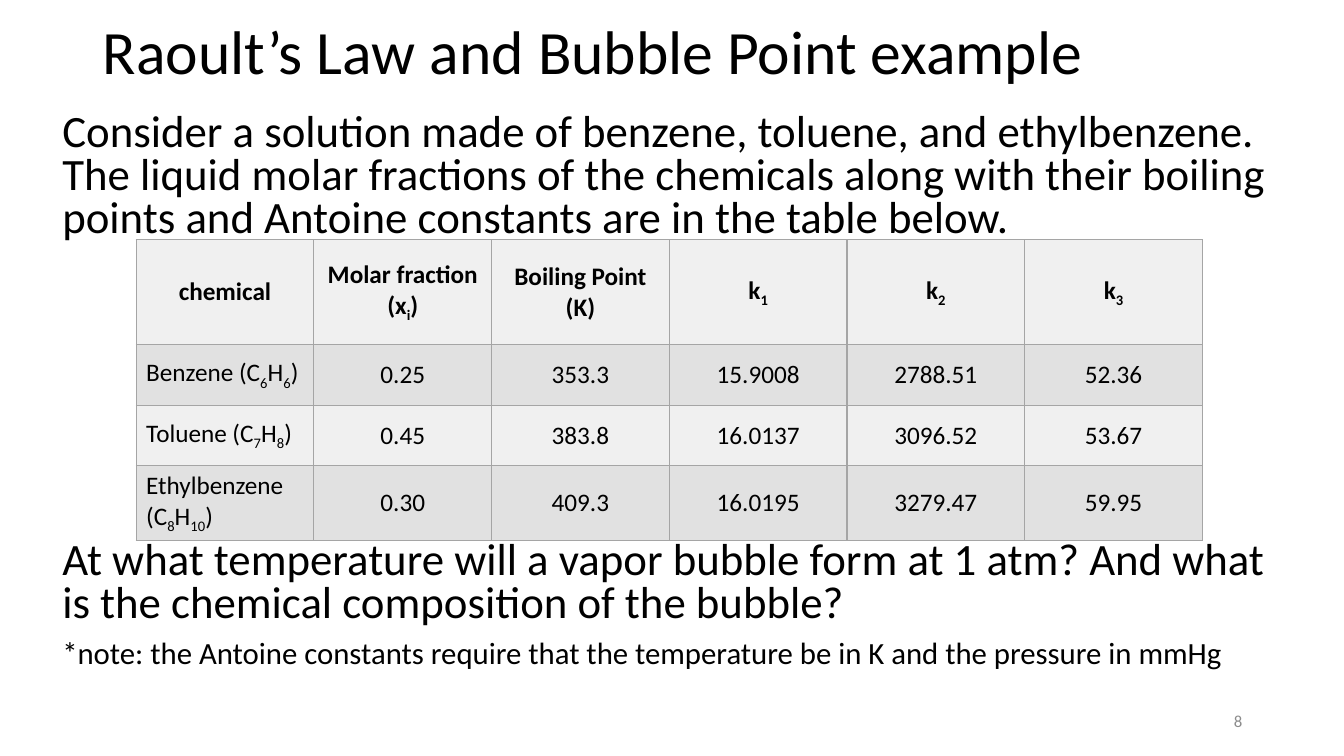
import pptx
import pptx.util
import pptx.oxml
import pptx.dml.color
import pptx.enum.text
import lxml.etree

Pt = pptx.util.Pt
RGB = pptx.dml.color.RGBColor
ALIGN = pptx.enum.text.PP_ALIGN
ANCHOR = pptx.enum.text.MSO_ANCHOR

WIDE = pptx.util.Inches(13.33)
HIGH = pptx.util.Inches(7.5)
FONT = "Calibri"
BLACK = RGB(0, 0, 0)
GREY = RGB(0x8C, 0x8C, 0x8C)
LIGHT = RGB(0xF0, 0xF0, 0xF0)
DARK = RGB(0xE1, 0xE1, 0xE1)
EDGE = RGB(0xA5, 0xA5, 0xA5)

# Shares of the slide: left, top, width, height
TITLE = (0.069, 0.0027, 0.8627, 0.14)
INTRO = (0.039, 0.1427, 0.9182, 0.175)
TASK = (0.039, 0.7093, 0.9182, 0.24)
NUMBER = (0.7067, 0.9267, 0.225, 0.0533)
GRID = (0.1013, 0.3173, 0.7935, 0.392)
HEAD = 0.1387
ROW = 0.08

# Every second piece between underscores is a subscript
ROWS = [
    ("chemical", "Molar fraction (x_i_)", "Boiling Point (K)", "k_1", "k_2", "k_3"),
    ("Benzene (C_6_H_6_)", "0.25", "353.3", "15.9008", "2788.51", "52.36"),
    ("Toluene (C_7_H_8_)", "0.45", "383.8", "16.0137", "3096.52", "53.67"),
    ("Ethylbenzene (C_8_H_10_)", "0.30", "409.3", "16.0195", "3279.47", "59.95"),
]


def place(area):
    left, top, width, height = area
    return (round(left * WIDE), round(top * HIGH),
            round(width * WIDE), round(height * HIGH))


def apply(item, form):
    for name, value in form.items():
        setattr(item, name, value)


def write(para, text, size, color=BLACK, bold=False, **form):
    apply(para, form)
    for i, piece in enumerate(text.split("_")):
        if not piece:
            continue
        run = para.add_run()
        run.text = piece
        apply(run.font, {"name": FONT, "size": Pt(size), "bold": bold})
        run.font.color.rgb = color
        if i % 2:
            run.font._element.set("baseline", "-25000")


def add_text(slide, area, lines, anchor=ANCHOR.TOP, **form):
    frame = slide.shapes.add_textbox(*place(area)).text_frame
    apply(frame, {"word_wrap": True, "vertical_anchor": anchor})
    for i, (text, size) in enumerate(lines):
        para = frame.add_paragraph() if i else frame.paragraphs[0]
        write(para, text, size, space_before=Pt(10 if i else 0), **form)


def add_title(slide, text):
    title = slide.shapes.title
    apply(title, dict(zip(("left", "top", "width", "height"), place(TITLE))))
    frame = title.text_frame
    apply(frame, {"word_wrap": True, "vertical_anchor": ANCHOR.MIDDLE,
                  "auto_size": pptx.enum.text.MSO_AUTO_SIZE.NONE})
    write(frame.paragraphs[0], text, 44, alignment=ALIGN.LEFT, line_spacing=0.9)


def add_edges(cell):
    props = cell._tc.get_or_add_tcPr()
    space = pptx.oxml.ns.nsdecls("a")
    for i, side in enumerate(("lnL", "lnR", "lnT", "lnB")):
        props.insert(i, pptx.oxml.parse_xml(
            f'<a:{side} {space} w="{Pt(1)}"><a:solidFill>'
            f'<a:srgbClr val="{EDGE}"/></a:solidFill></a:{side}>'))


def add_grid(slide):
    count = len(ROWS[0])
    table = slide.shapes.add_table(len(ROWS), count, *place(GRID)).table
    for col in table.columns:
        col.width = round(GRID[2] * WIDE / count)
    for r, values in enumerate(ROWS):
        table.rows[r].height = round((ROW if r else HEAD) * HIGH)
        for c, text in enumerate(values):
            cell = table.cell(r, c)
            cell.vertical_anchor = ANCHOR.MIDDLE
            cell.fill.solid()
            cell.fill.fore_color.rgb = DARK if r % 2 else LIGHT
            add_edges(cell)
            side = ALIGN.LEFT if r and not c else ALIGN.CENTER
            write(cell.text_frame.paragraphs[0], text, 18,
                  bold=r == 0, alignment=side)


def main():
    deck = pptx.Presentation()
    apply(deck, {"slide_width": WIDE, "slide_height": HIGH})
    slide = deck.slides.add_slide(deck.slide_layouts[5])

    # Title and problem
    add_title(slide, "Raoult’s Law and Bubble Point example")
    add_text(slide, INTRO, [(
        "Consider a solution made of benzene, toluene, and ethylbenzene. "
        "The liquid molar fractions of the chemicals along with their boiling "
        "points and Antoine constants are in the table below.", 32)],
        line_spacing=0.8)

    # Question and note
    add_text(slide, TASK, [
        ("At what temperature will a vapor bubble form at 1 atm? And what "
         "is the chemical composition of the bubble?", 32),
        ("*note: the Antoine constants require that the temperature be in K "
         "and the pressure in mmHg", 22)], line_spacing=0.8)

    # Slide number
    add_text(slide, NUMBER, [("8", 12)], ANCHOR.MIDDLE,
             color=GREY, alignment=ALIGN.RIGHT)

    # Data table
    add_grid(slide)
    deck.save("out.pptx")


if __name__ == "__main__":
    main()
